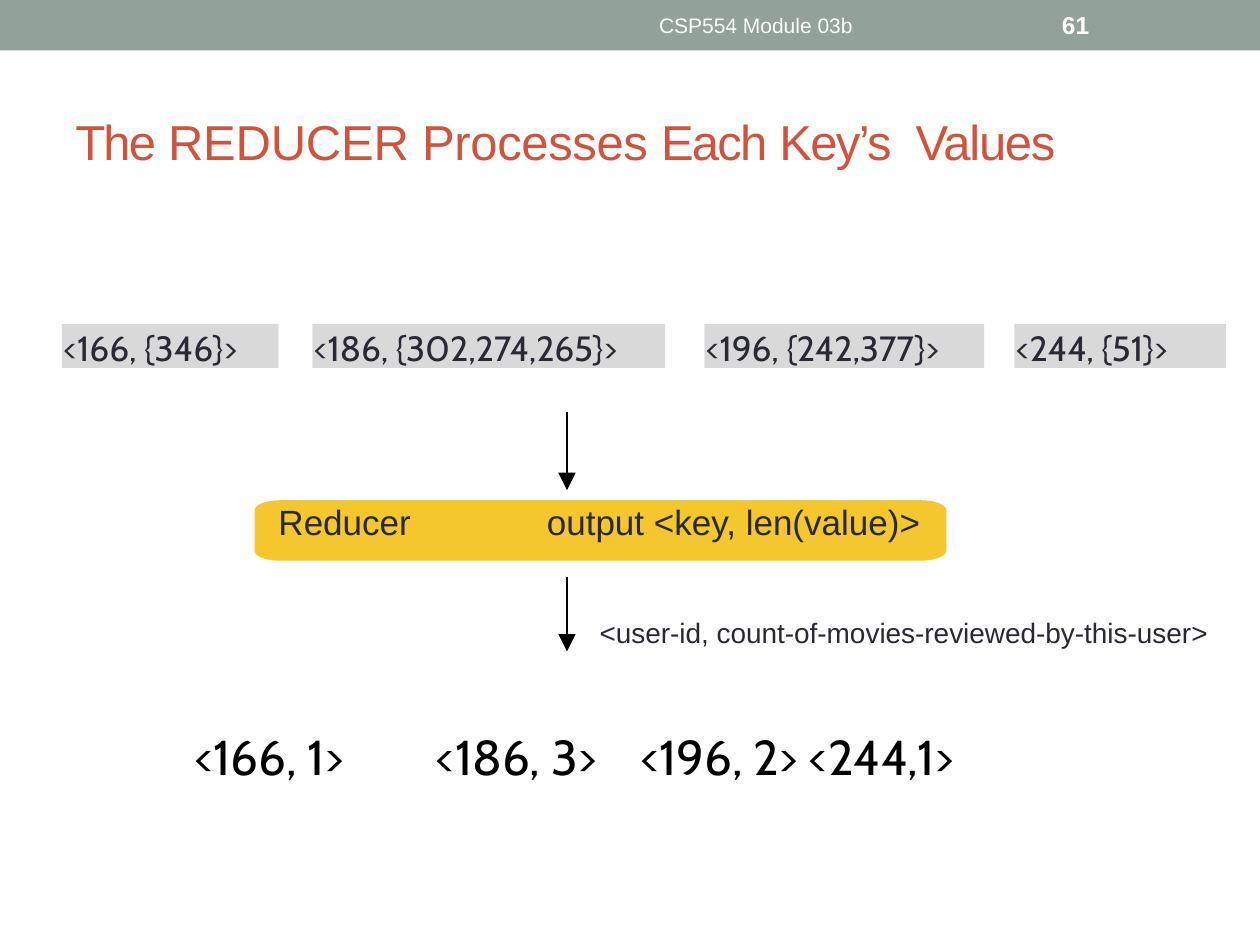
import math
from dataclasses import dataclass
from lxml import etree
from pptx import Presentation
from pptx import util as u
from pptx.dml.color import RGBColor
from pptx.enum import shapes, text
from pptx.oxml import ns


@dataclass(frozen=True)
class Theme:
    """Colours, fonts and type sizes of the slide."""
    band: str = "93A299"
    title: str = "D2533C"
    chip: str = "D9D9D9"
    gold: str = "F3C72D"
    ink: str = "292934"
    black: str = "000000"
    white: str = "FFFFFF"
    sans: str = "Arial"
    data: str = "Cabin"
    big: int = 28
    body: int = 20
    note: int = 16
    page: int = 14
    foot: int = 12


T = Theme()
TOP = text.MSO_ANCHOR.TOP
MID = text.MSO_ANCHOR.MIDDLE
LOW = text.MSO_ANCHOR.BOTTOM
CHIPS = [
    (0.49, 1.72, [("<1", -0.1), ("6", -0.2), ("6, {", -0.1), ("3", -0.2), ("46}>", -0.1)]),
    (2.48, 2.8, [("<186, {302,274,265}>", -0.1)]),
    (5.59, 2.22, [("<196, {242,377}>", -0.1)]),
    (8.05, 1.68, [("<2", -0.1), ("4", -0.2), ("4, {", -0.1), ("5", -0.2), ("1}>", 0)]),
]


def paint(shape, color):
    """Give a shape a flat fill with no line or shadow."""
    shape.shadow.inherit = False
    shape.fill.solid()
    shape.fill.fore_color.rgb = RGBColor.from_string(color)
    shape.line.fill.background()


def write(shape, runs, size, color, face=T.sans, bold=False, anchor=TOP,
          inset=(0.1, 0.05, 0.1, 0.05), center=False, tabs=(), wrap=True):
    """Set one paragraph from (words, spacing) runs."""
    frame = shape.text_frame
    frame.word_wrap = wrap
    frame.vertical_anchor = anchor
    (frame.margin_left, frame.margin_top,
     frame.margin_right, frame.margin_bottom) = map(u.Inches, inset)
    para = frame.paragraphs[0]
    para.alignment = text.PP_ALIGN.CENTER if center else text.PP_ALIGN.LEFT
    if tabs:
        stops = etree.SubElement(para._p.get_or_add_pPr(), ns.qn("a:tabLst"))
        for stop in tabs:
            etree.SubElement(stops, ns.qn("a:tab"), pos=str(u.Inches(stop)), algn="l")
    for words, space in runs:
        run = para.add_run()
        run.text = words
        run.font.name = face
        run.font.size = u.Pt(size)
        run.font.bold = bold
        run.font.color.rgb = RGBColor.from_string(color)
        if space:
            run._r.get_or_add_rPr().set("spc", str(round(space * 100)))


def label(slide, box, runs, size, color, **style):
    """Add a text box."""
    write(slide.shapes.add_textbox(*map(u.Inches, box)), runs, size, color, **style)


def block(slide, box, color):
    """Add a plain filled rectangle."""
    shape = slide.shapes.add_shape(shapes.MSO_SHAPE.RECTANGLE, *map(u.Inches, box))
    paint(shape, color)
    return shape


def plate(slide, box, rx, ry, color):
    """Add a rectangle with elliptical corners."""
    left, top, width, height = box
    right, base = left + width, top + height
    hubs = [(right - rx, base - ry), (left + rx, base - ry),
            (left + rx, top + ry), (right - rx, top + ry)]
    dots = []
    for turn, (x, y) in enumerate(hubs):
        for step in range(7):
            angle = math.radians(90 * turn + 15 * step)
            dots.append((u.Inches(x + rx * math.cos(angle)),
                         u.Inches(y + ry * math.sin(angle))))
    pen = slide.shapes.build_freeform(*dots[0])
    pen.add_line_segments(dots[1:], close=True)
    shape = pen.convert_to_shape()
    paint(shape, color)
    return shape


def arrow(slide, x, top, base):
    """Add a downward arrow."""
    line = slide.shapes.add_connector(
        shapes.MSO_CONNECTOR.STRAIGHT, *map(u.Inches, (x, top, x, base)))
    line.line.width = u.Pt(1)
    line.line.color.rgb = RGBColor.from_string(T.black)
    etree.SubElement(line.line._get_or_add_ln(), ns.qn("a:tailEnd"),
                     type="triangle", w="lg", len="lg")
    etree.SubElement(line._element.spPr, ns.qn("a:effectLst"))


def main():
    """Build and save the slide."""
    deck = Presentation()
    deck.slide_width, deck.slide_height = u.Inches(10), u.Inches(7.5)
    slide = deck.slides.add_slide(deck.slide_layouts[6])

    block(slide, (0, 0, 10, 0.4), T.band)
    label(slide, (0.5, 0.58, 9, 1.08),
          [("The ", -1), ("REDUCER ", -0.1), ("Processes ", -0.2),
           ("Each ", -1), ("Key’s  ", -0.9), ("Values", -0.7)],
          T.big, T.title, anchor=MID)
    label(slide, (3.75, 0.02, 4.5, 0.36), [("CSP554 Module 03b", 0)],
          T.foot, T.white, anchor=MID, center=True)
    label(slide, (8.33, 0.02, 1.17, 0.36), [("61", 0)],
          T.page, T.white, anchor=MID, bold=True)

    label(slide, (-0.06, 4.94, 9.12, 1.29),
          [("<166, 1>\t<186, 3>\t<196, 2>\t<244,1>", -0.1)],
          T.big, T.black, face=T.data, anchor=LOW,
          inset=(1.6, 0, 0, 0), tabs=(1.92, 3.54, 4.88))
    for top, base in ((3.27, 3.89), (4.58, 5.17)):
        arrow(slide, 4.5, top, base)
    for left, width, runs in CHIPS:
        write(block(slide, (left, 2.57, width, 0.35), T.chip), runs,
              T.body, T.ink, face=T.data, inset=(0.01, 0.02, 0, 0))

    write(plate(slide, (2.02, 3.97, 5.49, 0.48), 0.2, 0.08, T.gold),
          [("Reducer\toutput <key, len(value)>", 0)], T.body, T.ink,
          inset=(0.19, 0, 0, 0), tabs=(2.13,))
    label(slide, (4.66, 4.84, 5.09, 0.37),
          [("<user-id, count-of-movies-reviewed-by-this-user>", 0)],
          T.note, T.ink, wrap=False)
    deck.save("out.pptx")


if __name__ == "__main__":
    main()
